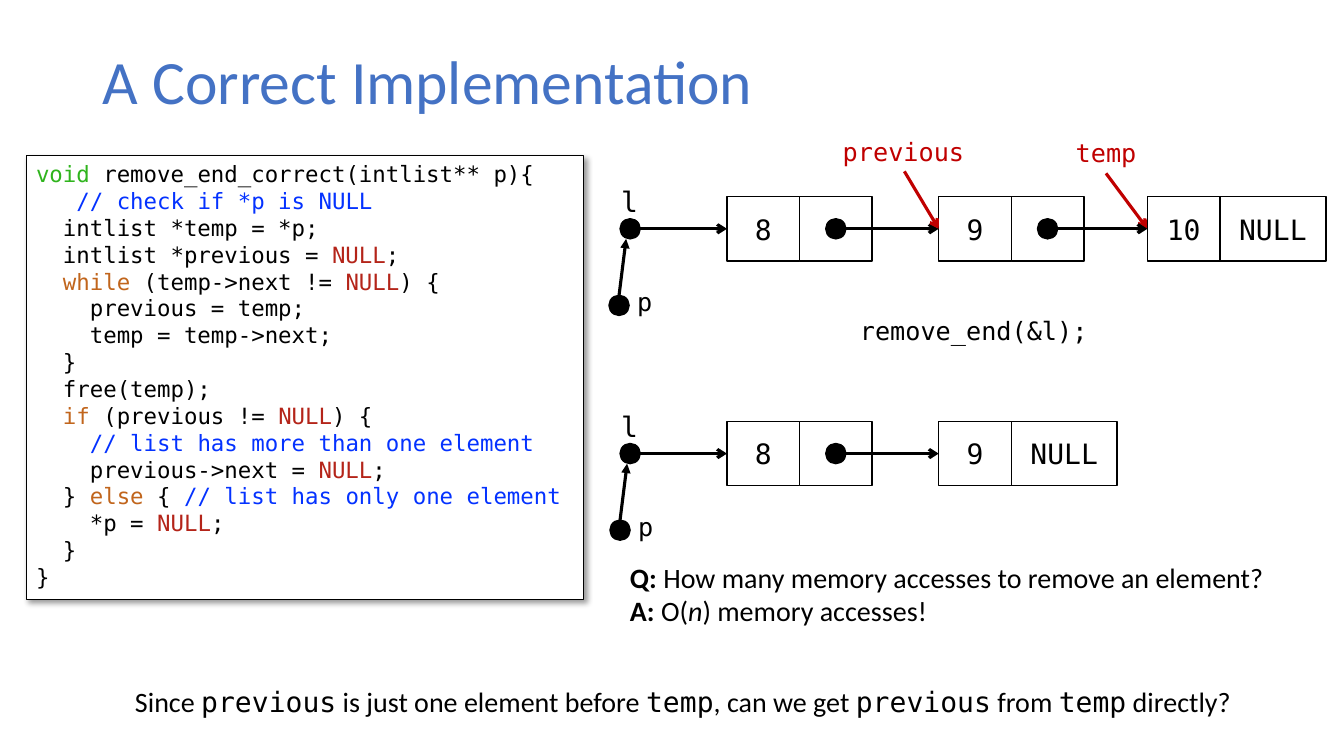
from lxml.etree import SubElement
from pptx import Presentation
from pptx.dml.color import RGBColor
from pptx.enum.shapes import MSO_CONNECTOR, MSO_SHAPE
from pptx.enum.text import MSO_ANCHOR, MSO_AUTO_SIZE, PP_ALIGN
from pptx.oxml.ns import qn
from pptx.util import Inches, Pt

BLACK = RGBColor(0x00, 0x00, 0x00)
WHITE = RGBColor(0xFF, 0xFF, 0xFF)
TITLE_BLUE = RGBColor(0x44, 0x72, 0xC4)
POINTER_RED = RGBColor(0xC0, 0x00, 0x00)
TYPE_GREEN = RGBColor(0x2F, 0xB4, 0x1D)
COMMENT_BLUE = RGBColor(0x04, 0x32, 0xFF)
CONSTANT_RED = RGBColor(0xB4, 0x24, 0x19)
KEYWORD_ORANGE = RGBColor(0xC1, 0x65, 0x1C)

SANS, MONO = "Calibri", "DejaVu Sans Mono"
CELL_W, CELL_H, NULL_W, DOT = 0.72, 0.64, 1.05, 0.2

SYNTAX = {"void": TYPE_GREEN, "NULL": CONSTANT_RED, "while": KEYWORD_ORANGE,
          "if": KEYWORD_ORANGE, "else": KEYWORD_ORANGE}
# A bar separates differently coloured parts of a line.
CODE = """void| remove_end_correct(intlist** p){
   |// check if *p is NULL
  intlist *temp = *p;
  intlist *previous = |NULL|;
  |while| (temp->next != |NULL|) {
    previous = temp;
    temp = temp->next;
  }
  free(temp);
  |if| (previous != |NULL|) {
    |// list has more than one element
    previous->next = |NULL|;
  } |else| { |// list has only one element
    *p = |NULL|;
  }
}"""


def box_of(left, top, width, height):
    return [Inches(v) for v in (left, top, width, height)]


def style(font, size, name=MONO, color=BLACK):
    font.size, font.name = Pt(size), name
    font.color.rgb = color


def add_label(slide, box, text, size=18, color=BLACK, align=PP_ALIGN.LEFT):
    frame = slide.shapes.add_textbox(*box_of(*box)).text_frame
    frame.word_wrap = align == PP_ALIGN.CENTER
    frame.text = text
    frame.paragraphs[0].alignment = align
    style(frame.paragraphs[0].runs[0].font, size, color=color)


def add_solid(slide, kind, box, fill, line_width=1):
    shape = slide.shapes.add_shape(kind, *box_of(*box))
    shape.shadow.inherit = False
    shape.fill.solid()
    shape.fill.fore_color.rgb = fill
    shape.line.color.rgb = BLACK
    shape.line.width = Pt(line_width)
    return shape


def add_cell(slide, left, top, width, text=""):
    cell = add_solid(slide, MSO_SHAPE.RECTANGLE, (left, top, width, CELL_H), WHITE)
    if text:
        frame = cell.text_frame
        frame.text = text
        frame.vertical_anchor = MSO_ANCHOR.MIDDLE
        frame.paragraphs[0].alignment = PP_ALIGN.CENTER
        style(frame.paragraphs[0].runs[0].font, 20)


def add_dot(slide, left, top):
    add_solid(slide, MSO_SHAPE.OVAL, (left, top, DOT, DOT), BLACK)


def add_arrow(slide, start, end, color=BLACK, head="arrow"):
    arrow = slide.shapes.add_connector(
        MSO_CONNECTOR.STRAIGHT, *[Inches(v) for v in (*start, *end)])
    arrow.line.color.rgb = color
    arrow.line.width = Pt(2.25)
    SubElement(arrow.line._get_or_add_ln(), qn("a:tailEnd"), type=head)
    SubElement(arrow._element.spPr, qn("a:effectLst"))


def add_title(slide, box, text):
    title = slide.shapes.title
    title.left, title.top, title.width, title.height = box_of(*box)
    frame = title.text_frame
    frame.text = text
    frame.auto_size = MSO_AUTO_SIZE.NONE
    frame.vertical_anchor = MSO_ANCHOR.MIDDLE
    heading = frame.paragraphs[0]
    heading.alignment = PP_ALIGN.LEFT
    heading.line_spacing = 0.9
    style(heading.runs[0].font, 44, SANS, TITLE_BLUE)


def add_code(slide, box):
    panel = add_solid(slide, MSO_SHAPE.RECTANGLE, box, WHITE, 0.75)
    effects = panel._element.spPr.find(qn("a:effectLst"))
    shadow = SubElement(effects, qn("a:outerShdw"), blurRad=str(Pt(4)),
                        dist=str(Pt(3)), dir="2700000", algn="tl", rotWithShape="0")
    tint = SubElement(shadow, qn("a:srgbClr"), val=str(BLACK))
    SubElement(tint, qn("a:alpha"), val="40000")
    frame = panel.text_frame
    frame.vertical_anchor = MSO_ANCHOR.TOP
    for number, code_line in enumerate(CODE.split("\n")):
        paragraph = frame.add_paragraph() if number else frame.paragraphs[0]
        paragraph.alignment = PP_ALIGN.LEFT
        for part in code_line.split("|"):
            run = paragraph.add_run()
            run.text = part
            color = COMMENT_BLUE if part.startswith("//") else SYNTAX.get(part, BLACK)
            style(run.font, 16, color=color)


def add_linked_list(slide, left, top, values, offsets, p_shift=0):
    """Draw l, p and one node per value; offsets are the node edges from left."""
    middle = top + CELL_H / 2
    dot_top = middle - DOT / 2
    starts = [left + offset for offset in offsets]
    for start, value in zip(starts, values):
        last = value == values[-1]
        add_cell(slide, start + CELL_W, top, NULL_W if last else CELL_W,
                 "NULL" if last else "")
        add_cell(slide, start, top, CELL_W, value)
    dots = [left + 0.22] + [start + 1.5 * CELL_W - DOT / 2 - 0.0 for start in starts[:-1]]
    for dot, target in zip(dots, starts):
        add_dot(slide, dot, dot_top)
        add_arrow(slide, (dot + DOT, middle), (target, middle))
    add_label(slide, (left, top - 0.17, 0.63, 0.44), "l", 20, align=PP_ALIGN.CENTER)
    p_left, p_top = left + 0.11 + p_shift, top + 0.98
    add_arrow(slide, (p_left + DOT / 2, p_top),
              (p_left + 0.17, dot_top + DOT), head="triangle")
    add_dot(slide, p_left, p_top)
    add_label(slide, (p_left + 0.18, p_top - 0.14, 0.35, 0.4), "p")


def add_pointer(slide, box, name, start, end):
    add_label(slide, box, name, color=POINTER_RED)
    add_arrow(slide, start, end, POINTER_RED)


def add_prose(slide, box, lines, wrap=True):
    """Each line is a list of (text, font name, bold, italic)."""
    frame = slide.shapes.add_textbox(*box_of(*box)).text_frame
    frame.word_wrap = wrap
    for number, parts in enumerate(lines):
        paragraph = frame.add_paragraph() if number else frame.paragraphs[0]
        for text, name, bold, italic in parts:
            run = paragraph.add_run()
            run.text = text
            style(run.font, 20, name)
            run.font.bold, run.font.italic = bold, italic


def main():
    deck = Presentation()
    deck.slide_width, deck.slide_height = Inches(13.33), Inches(7.5)
    slide = deck.slides.add_slide(deck.slide_layouts[5])
    add_title(slide, (0.92, 0.4, 11.5, 0.87), "A Correct Implementation")
    add_code(slide, (0.26, 1.54, 5.53, 4.41))

    add_pointer(slide, (10.57, 1.31, 0.81, 0.4), "temp", (10.97, 1.72), (11.38, 2.27))
    add_linked_list(slide, 5.93, 1.95, ["8", "9", "10"], [1.28, 3.38, 5.45])
    add_pointer(slide, (8.26, 1.3, 1.42, 0.4), "previous", (8.97, 1.7), (9.31, 2.27))
    add_label(slide, (8.43, 3.08, 2.49, 0.4), "remove_end(&l);")
    add_linked_list(slide, 5.93, 4.18, ["8", "9"], [1.28, 3.38], p_shift=0.01)

    add_prose(slide, (6.15, 5.51, 6.67, 0.77), [
        [("Q: ", SANS, True, False),
         ("How many memory accesses to remove an element?", SANS, False, False)],
        [("A: ", SANS, True, False), ("O(", SANS, False, False),
         ("n", SANS, False, True), (") memory accesses!", SANS, False, False)],
    ])
    question = ("Since |previous| is just one element before |temp"
                "|, can we get |previous| from |temp| directly?")
    add_prose(slide, (1.24, 6.74, 11.08, 0.44), [
        [(part, MONO if part in ("previous", "temp") else SANS, False, False)
         for part in question.split("|")]], wrap=False)
    deck.save("out.pptx")


if __name__ == "__main__":
    main()
